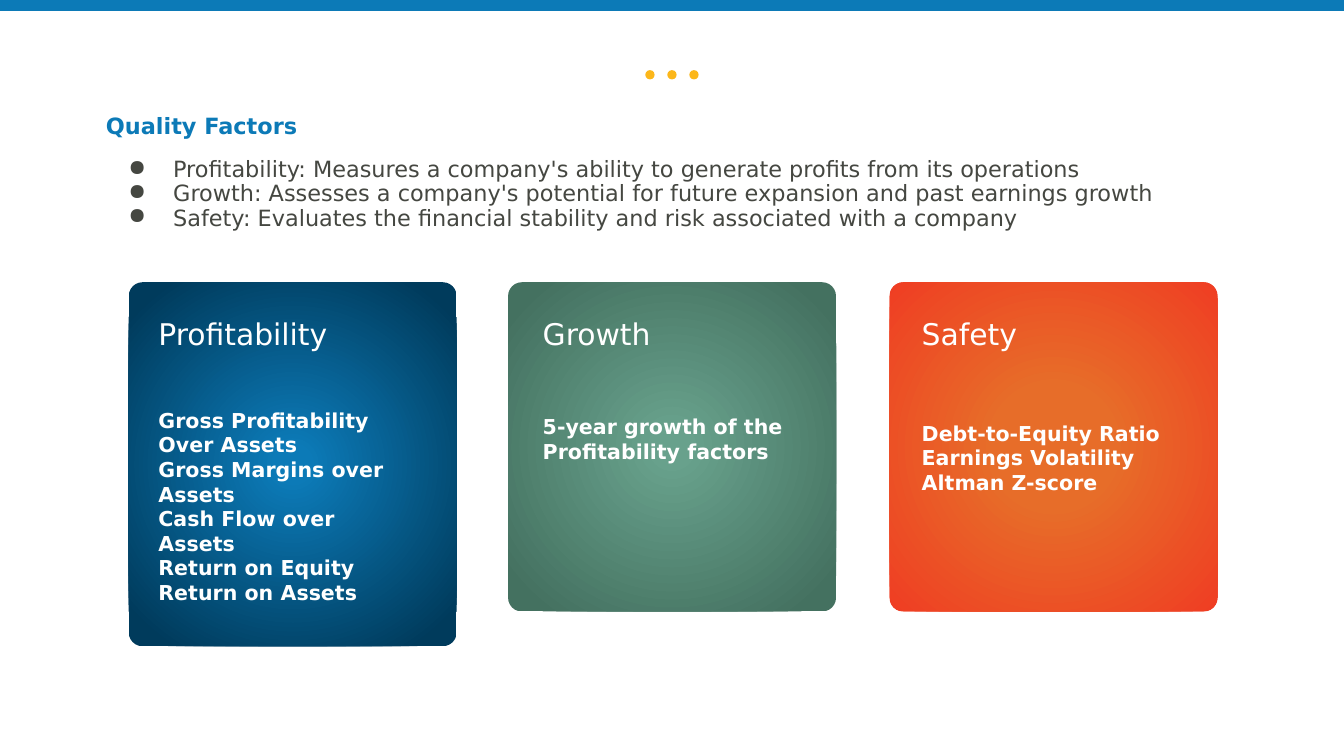
import pptx
import pptx.util
import pptx.dml.color
import pptx.enum.shapes
import pptx.enum.text
import pptx.oxml
import pptx.oxml.ns
import lxml.etree

Pt = pptx.util.Pt
Shape = pptx.enum.shapes.MSO_SHAPE
qn = pptx.oxml.ns.qn

THEME = {
    "font": "DejaVu Sans",
    "blue": "0C7AB7", "gold": "FCB71A", "grey": "454741", "white": "FFFFFF",
    "body": 12, "card_title": 16, "card_item": 11,
}

HEADING = "Quality Factors"
FACTORS = [
    "Profitability: Measures a company's ability to generate profits from its operations",
    "Growth: Assesses a company's potential for future expansion and past earnings growth",
    "Safety: Evaluates the financial stability and risk associated with a company",
]
# gradient: (position in percent, colour), from the centre outwards
CARDS = [
    {"title": "Profitability", "left": 69, "height": 195, "text_left": 77.8, "gap": 30,
     "items": ["Gross Profitability Over Assets", "Gross Margins over Assets",
               "Cash Flow over Assets", "Return on Equity", "Return on Assets"],
     "gradient": [(0, "0C7AB7"), (7, "0C7AB7"), (90, "003B5C"), (100, "003B5C")]},
    {"title": "Growth", "left": 272.2, "height": 176.4, "text_left": 283.7, "gap": 33.5,
     "items": ["5-year growth of the Profitability factors"],
     "gradient": [(0, "68A18C"), (7, "68A18C"), (90, "447160"), (100, "447160")]},
    {"title": "Safety", "left": 476.6, "height": 176.4, "text_left": 486.7, "gap": 37,
     "items": ["Debt-to-Equity Ratio Earnings Volatility", "Altman Z-score"],
     "gradient": [(0, "E76D29"), (26, "E76D29"), (99, "EF3E23"), (100, "EF3E23")]},
]
CARD_TOP, CARD_WIDTH, CARD_ROUNDING = 151.2, 175.7, 0.042
CARD_TEXT_TOP, CARD_TEXT_WIDTH = 165.6, 148.3
DOT_SIZE, DOT_STEP, DOT_TOP = 5, 11.8, 37.6
SLIDE_WIDTH, SLIDE_HEIGHT = 720, 405


def rgb(colour):
    return pptx.dml.color.RGBColor.from_string(colour)


def add_flat_shape(slide, kind, left, top, width, height):
    shape = slide.shapes.add_shape(kind, Pt(left), Pt(top), Pt(width), Pt(height))
    shape.shadow.inherit = False
    shape.line.fill.background()
    return shape


def fill_radial(shape, stops):
    """Fill the shape with a circular gradient around its centre."""
    shape.fill.gradient()
    gradient = shape.element.spPr.find(qn("a:gradFill"))
    for child in list(gradient):
        gradient.remove(child)
    stop_list = lxml.etree.SubElement(gradient, qn("a:gsLst"))
    for position, colour in stops:
        stop = lxml.etree.SubElement(stop_list, qn("a:gs"), pos=str(position * 1000))
        lxml.etree.SubElement(stop, qn("a:srgbClr"), val=colour)
    circle = lxml.etree.SubElement(gradient, qn("a:path"), path="circle")
    lxml.etree.SubElement(circle, qn("a:fillToRect"), l="50000", t="50000", r="50000", b="50000")


def add_text(slide, left, top, width, height, lines):
    """Add a wrapped text box of (text, size, colour, bold) lines; return its paragraphs."""
    frame = slide.shapes.add_textbox(Pt(left), Pt(top), Pt(width), Pt(height)).text_frame
    frame.word_wrap = True
    frame.text = "\n".join(line[0] for line in lines)
    for paragraph, (_, size, colour, bold) in zip(frame.paragraphs, lines):
        font = paragraph.runs[0].font
        font.name, font.size, font.bold = THEME["font"], Pt(size), bold
        font.color.rgb = rgb(colour)
    return frame.paragraphs


def add_bullet(paragraph):
    properties = paragraph._p.get_or_add_pPr()
    properties.set("marL", str(Pt(36)))
    properties.set("indent", str(Pt(-24)))
    colour = lxml.etree.SubElement(properties, qn("a:buClr"))
    lxml.etree.SubElement(colour, qn("a:srgbClr"), val=THEME["grey"])
    lxml.etree.SubElement(properties, qn("a:buChar"), char="●")


def add_header(slide):
    band = slide.shapes.add_connector(
        pptx.enum.shapes.MSO_CONNECTOR.STRAIGHT, 0, Pt(3), Pt(SLIDE_WIDTH), Pt(3))
    band.line.color.rgb = rgb(THEME["blue"])
    band.line.width = Pt(6)
    lxml.etree.SubElement(band.element.spPr, qn("a:effectLst"))
    for offset in (-1, 0, 1):
        left = (SLIDE_WIDTH - DOT_SIZE) / 2 + offset * DOT_STEP
        dot = add_flat_shape(slide, Shape.OVAL, left, DOT_TOP, DOT_SIZE, DOT_SIZE)
        dot.fill.solid()
        dot.fill.fore_color.rgb = rgb(THEME["gold"])


def add_factors(slide):
    lines = [(HEADING, THEME["body"], THEME["blue"], True)]
    lines += [(factor, THEME["body"], THEME["grey"], False) for factor in FACTORS]
    heading, *bullets = add_text(slide, 49.7, 58.3, 620.6, 85, lines)
    heading.line_spacing = 0.9
    for bullet in bullets:
        bullet.line_spacing = 0.9
        bullet.space_before = Pt(10 if bullet is bullets[0] else 0)
        add_bullet(bullet)


def add_card(slide, card):
    panel = add_flat_shape(slide, Shape.ROUNDED_RECTANGLE,
                           card["left"], CARD_TOP, CARD_WIDTH, card["height"])
    panel.adjustments[0] = CARD_ROUNDING
    fill_radial(panel, card["gradient"])
    lines = [(card["title"], THEME["card_title"], THEME["white"], False)]
    lines += [(item, THEME["card_item"], THEME["white"], True) for item in card["items"]]
    text_height = card["height"] + CARD_TOP - CARD_TEXT_TOP
    paragraphs = add_text(slide, card["text_left"], CARD_TEXT_TOP,
                          CARD_TEXT_WIDTH, text_height, lines)
    paragraphs[1].space_before = Pt(card["gap"])


def main():
    deck = pptx.Presentation()
    deck.slide_width, deck.slide_height = Pt(SLIDE_WIDTH), Pt(SLIDE_HEIGHT)
    slide = deck.slides.add_slide(deck.slide_layouts[6])
    add_header(slide)
    add_factors(slide)
    for card in CARDS:
        add_card(slide, card)
    deck.save("out.pptx")


if __name__ == "__main__":
    main()
